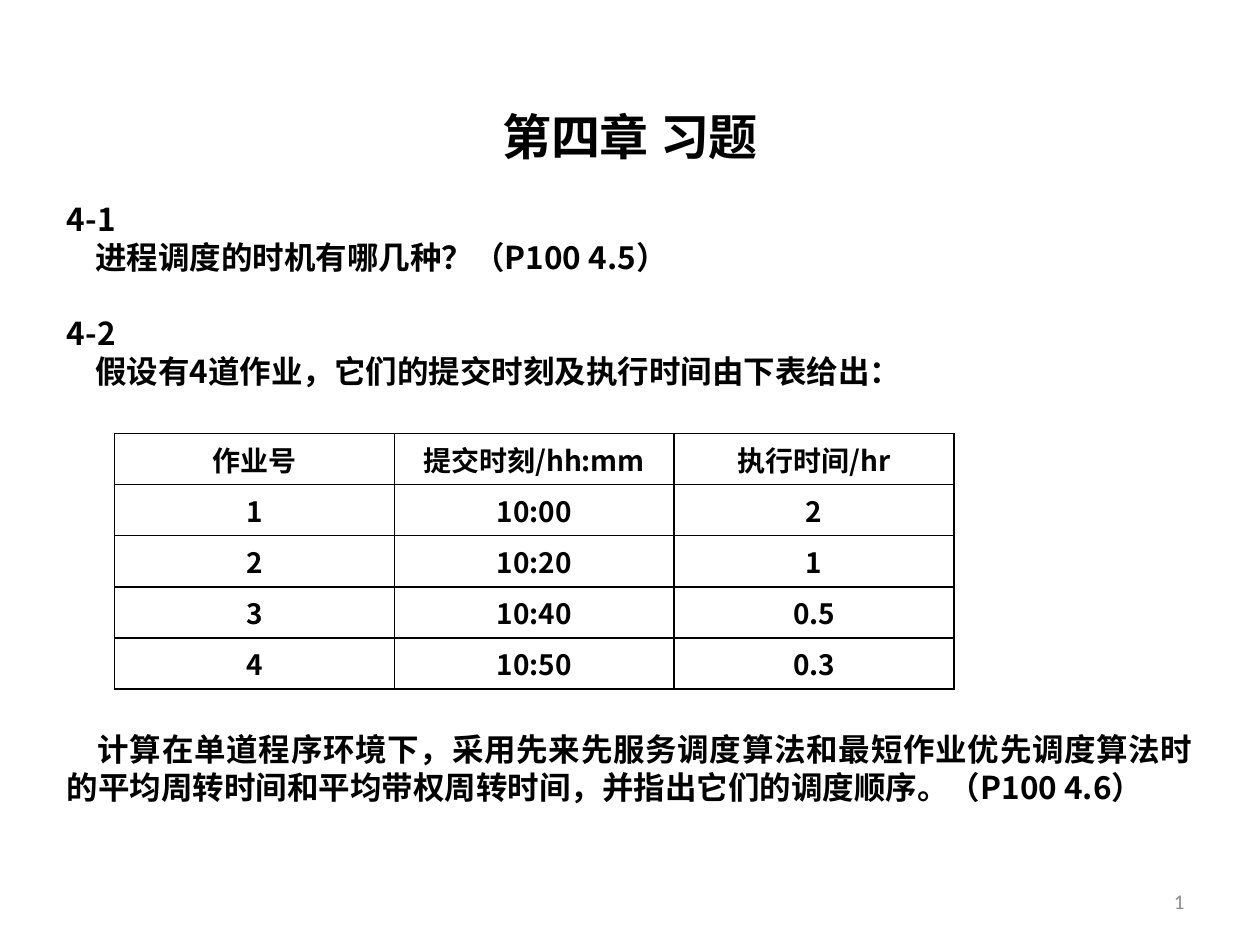
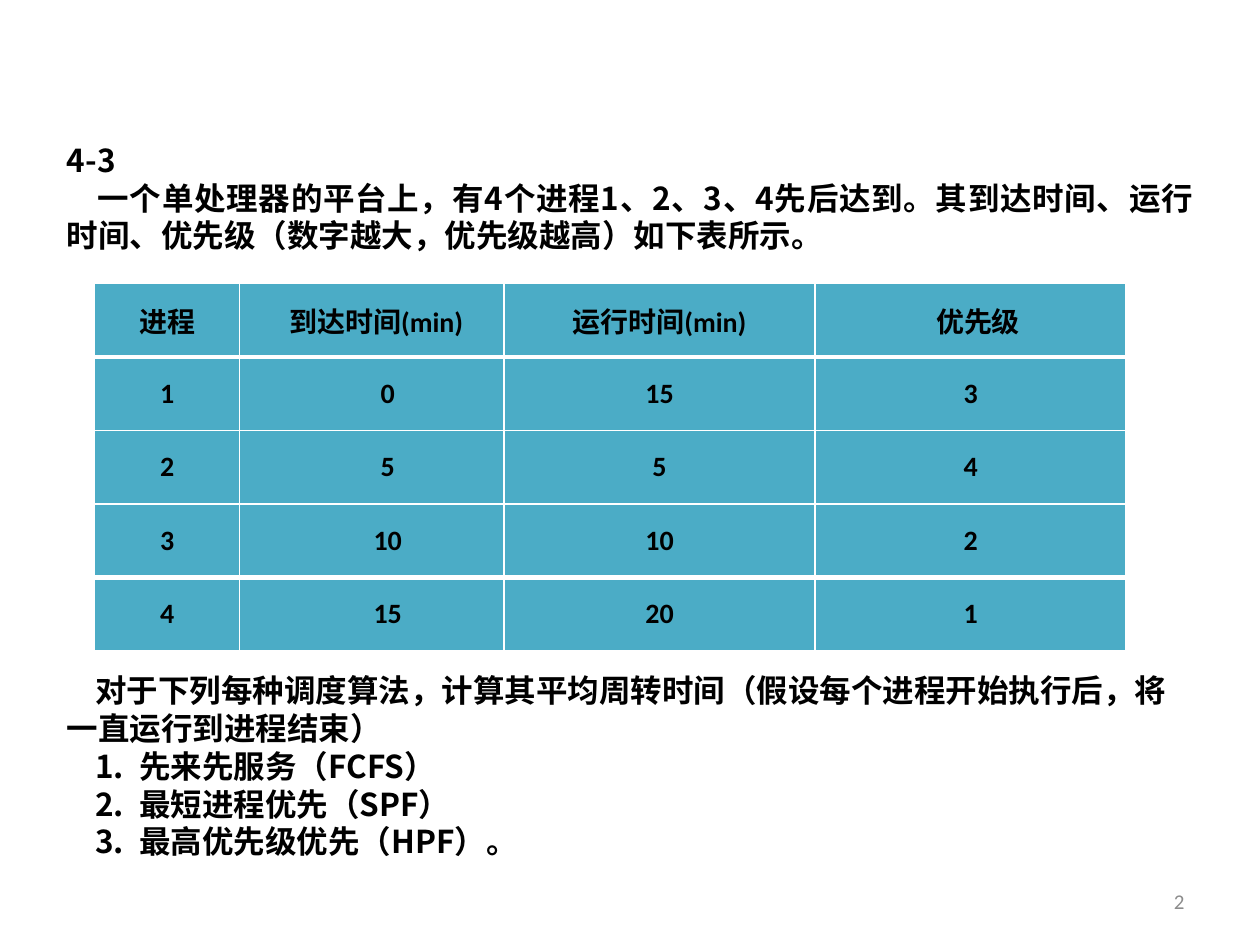
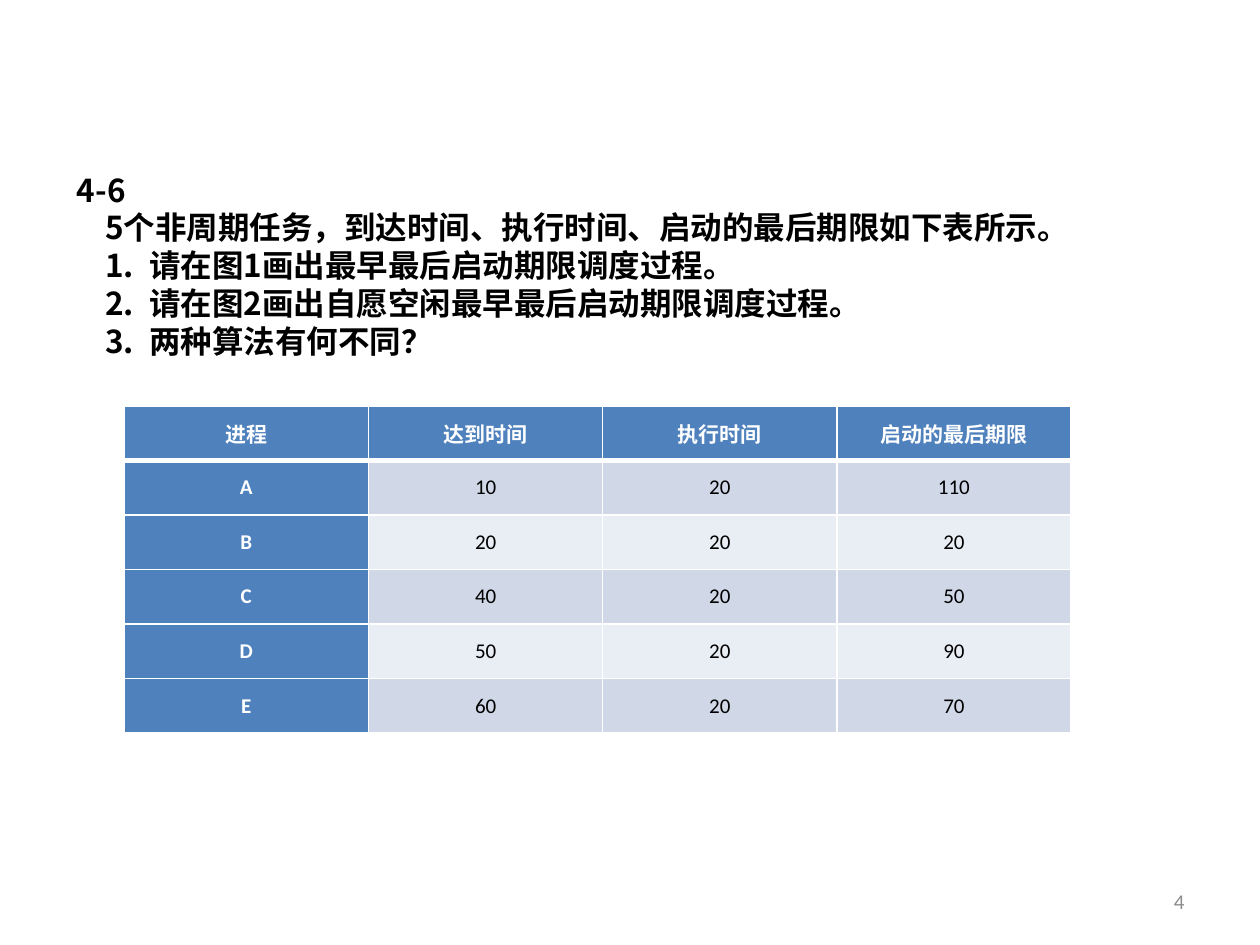
from lxml.etree import SubElement
from pptx import Presentation
from pptx.dml.color import RGBColor
from pptx.enum.text import MSO_ANCHOR, MSO_AUTO_SIZE, PP_ALIGN
from pptx.oxml.ns import qn
from pptx.util import Cm, Pt

COLORS = {
    "ink": "000000",
    "paper": "FFFFFF",
    "page_number": "8C8C8C",
    "teal": "4BACC6",
    "blue": "4F81BD",
    "band_dark": "D0D8E8",
    "band_light": "E9EDF4",
}
CJK_FONT = "Noto Sans CJK SC"
LATIN_FONT = "Calibri"
BODY_SIZE = 18
LINE = 21.6           # line pitch of headings and body, points
LINE_CM = 0.76        # the same pitch in centimetres
INDENT = 0.57         # first-line indent, cm
HANG = 0.89           # gap from list number to list text, cm
LEFT, WIDTH = 1.1, 23.2
TITLE_AND_CONTENT, TWO_CONTENT = 1, 3


def write(frame, text, *, size=BODY_SIZE, font=CJK_FONT, color="ink", bold=True,
          align=PP_ALIGN.LEFT, line=None, gap=0, indent=0, numbered=False):
    """Add one formatted paragraph to a text frame."""
    paragraph = frame.paragraphs[0]
    if paragraph.text:
        paragraph = frame.add_paragraph()
    properties = paragraph._p.get_or_add_pPr()
    margin = INDENT + HANG if numbered else 0
    properties.set("marL", str(Cm(margin)))
    properties.set("indent", str(Cm(-HANG if numbered else indent)))
    if numbered:
        SubElement(properties, qn("a:buAutoNum"), type="arabicPeriod")
    else:
        SubElement(properties, qn("a:buNone"))
    paragraph.alignment = align
    paragraph.space_before = Pt(gap)
    if line:
        paragraph.line_spacing = Pt(line)
    run = paragraph.add_run()
    run.text = text
    run.font.size = Pt(size)
    run.font.bold = bold
    run.font.color.rgb = RGBColor.from_string(COLORS[color])
    run.font.name = font
    SubElement(run._r.get_or_add_rPr(), qn("a:ea"), typeface=CJK_FONT)


def set_body_style(prs):
    """Give the template's first body level the exercise text style."""
    style = prs.slide_master.element.find(".//" + qn("p:bodyStyle"))
    defaults = style.find(qn("a:lvl1pPr")).find(qn("a:defRPr"))
    defaults.set("sz", str(BODY_SIZE * 100))
    defaults.set("b", "1")
    for script in ("a:latin", "a:ea"):
        defaults.find(qn(script)).set("typeface", CJK_FONT)
    # Let the two-content layout follow the master
    for overrides in prs.slide_layouts[TWO_CONTENT].element.iter(qn("a:lstStyle")):
        for level in list(overrides):
            overrides.remove(level)


def place(holder, left, top, height):
    """Move a placeholder and return its prepared text frame."""
    holder.left, holder.top = Cm(left), Cm(top)
    holder.width, holder.height = Cm(WIDTH), Cm(height)
    frame = holder.text_frame
    frame.word_wrap = True
    frame.auto_size = MSO_AUTO_SIZE.NONE
    frame.vertical_anchor = MSO_ANCHOR.TOP
    frame.margin_left = frame.margin_right = Cm(0.25)
    frame.margin_top = frame.margin_bottom = 0
    return frame


def add_heading(slide, text, top, left=LEFT, line=LINE, **style):
    frame = place(slide.shapes.title, left, top, line / LINE * LINE_CM)
    write(frame, text, line=line, **style)


def add_body(slide, index, top, lines, paragraphs, left=LEFT):
    frame = place(slide.placeholders[index], left, top, lines * LINE_CM)
    for text, style in paragraphs:
        write(frame, text, line=LINE, **style)


def add_page_number(slide, number):
    box = slide.shapes.add_textbox(Cm(18.21), Cm(17.65), Cm(5.92), Cm(1.02))
    box.text_frame.word_wrap = True
    box.text_frame.vertical_anchor = MSO_ANCHOR.MIDDLE
    write(box.text_frame, str(number), size=12, font=LATIN_FONT,
          color="page_number", bold=False, align=PP_ALIGN.RIGHT)


def set_borders(cell, color, widths):
    """Draw the left, right, top and bottom borders of a cell."""
    properties = cell._tc.get_or_add_tcPr()
    for position, (edge, width) in enumerate(zip("LRTB", widths)):
        border = properties.makeelement(qn(f"a:ln{edge}"), {"w": str(Pt(width))})
        fill = SubElement(border, qn("a:solidFill"))
        SubElement(fill, qn("a:srgbClr"), val=COLORS[color])
        properties.insert(position, border)


def add_grid(slide, rows, left, top, col_widths, row_height, cell_style, *,
             border="paper", thick_rules=(), shift=lambda row, col: 0):
    """Add a table; cell_style(row, col) gives the fill and the text format."""
    table = slide.shapes.add_table(
        len(rows), len(col_widths), Cm(left), Cm(top),
        Cm(sum(col_widths)), Cm(row_height * len(rows))).table
    for column, width in zip(table.columns, col_widths):
        column.width = Cm(width)
    for r, values in enumerate(rows):
        table.rows[r].height = Cm(row_height)
        rules = [3 if rule in thick_rules else 1 for rule in (r, r + 1)]
        for c, value in enumerate(values):
            cell = table.cell(r, c)
            fill, style = cell_style(r, c)
            if fill:
                cell.fill.solid()
                cell.fill.fore_color.rgb = RGBColor.from_string(COLORS[fill])
            else:
                cell.fill.background()
            cell.vertical_anchor = MSO_ANCHOR.MIDDLE
            cell.margin_left = Cm(0.18 + shift(r, c))
            cell.margin_right = Cm(0.18)
            cell.margin_top = cell.margin_bottom = 0
            set_borders(cell, border, [1, 1, *rules])
            write(cell.text_frame, value, align=PP_ALIGN.CENTER, **style)


def job_style(row, col):
    return None, {"size": 16}


def process_style(row, col):
    return "teal", {"size": 16, "font": LATIN_FONT}


def process_shift(row, col):
    return ((0, 0.18, 0, 0.3) if row == 0 else (0, 0.64, 0, 0))[col]


def task_style(row, col):
    label = row == 0 or col == 0
    fill = "blue" if label else "band_dark" if row % 2 else "band_light"
    return fill, {"size": 12, "font": LATIN_FONT, "bold": label,
                  "color": "paper" if label else "ink"}


def main():
    prs = Presentation()
    prs.slide_width, prs.slide_height = Cm(25.4), Cm(19.05)
    set_body_style(prs)
    opening = {"indent": INDENT}
    justified = {"indent": 0.62, "align": PP_ALIGN.JUSTIFY}
    item = {"numbered": True}

    # Exercises 4-1 and 4-2
    jobs = prs.slides.add_slide(prs.slide_layouts[TWO_CONTENT])
    add_heading(jobs, "第四章 习题", 2.06, line=36, size=28, align=PP_ALIGN.CENTER)
    add_body(jobs, 1, 4.04, 5, [
        ("4-1", {}),
        ("进程调度的时机有哪几种？（P100 4.5）", opening),
        ("4-2", {"gap": LINE}),
        ("假设有4道作业，它们的提交时刻及执行时间由下表给出：", opening),
    ])
    add_grid(jobs, [
        ("作业号", "提交时刻/hh:mm", "执行时间/hr"),
        ("1", "10:00", "2"),
        ("2", "10:20", "1"),
        ("3", "10:40", "0.5"),
        ("4", "10:50", "0.3"),
    ], 2.31, 8.74, [5.64] * 3, 1.03, job_style, border="ink")
    add_body(jobs, 2, 14.71, 2, [
        ("计算在单道程序环境下，采用先来先服务调度算法和最短作业优先调度算法时的平均"
         "周转时间和平均带权周转时间，并指出它们的调度顺序。（P100 4.6）", justified),
    ])
    add_page_number(jobs, 1)

    # Exercise 4-3
    processes = prs.slides.add_slide(prs.slide_layouts[TWO_CONTENT])
    add_heading(processes, "4-3", 2.84)
    add_body(processes, 1, 3.6, 2, [
        ("一个单处理器的平台上，有4个进程1、2、3、4先后达到。其到达时间、运行时间、"
         "优先级（数字越大，优先级越高）如下表所示。", justified),
    ])
    add_grid(processes, [
        ("进程", "到达时间(min)", "运行时间(min)", "优先级"),
        ("1", "0", "15", "3"),
        ("2", "5", "5", "4"),
        ("3", "10", "10", "2"),
        ("4", "15", "20", "1"),
    ], 1.91, 5.72, [2.92, 5.33, 6.27, 6.27], 1.48, process_style,
        thick_rules=(1, 4), shift=process_shift)
    add_body(processes, 2, 13.53, 5, [
        ("对于下列每种调度算法，计算其平均周转时间（假设每个进程开始执行后，"
         "将一直运行到进程结束）", opening),
        ("先来先服务（FCFS）", item),
        ("最短进程优先（SPF）", item),
        ("最高优先级优先（HPF）。", item),
    ])
    add_page_number(processes, 2)

    # Exercise 4-6
    tasks = prs.slides.add_slide(prs.slide_layouts[TITLE_AND_CONTENT])
    add_heading(tasks, "4-6", 3.44, left=1.3)
    add_body(tasks, 1, 4.2, 4, [
        ("5个非周期任务，到达时间、执行时间、启动的最后期限如下表所示。", opening),
        ("请在图1画出最早最后启动期限调度过程。", item),
        ("请在图2画出自愿空闲最早最后启动期限调度过程。", item),
        ("两种算法有何不同？", item),
    ], left=1.3)
    add_grid(tasks, [
        ("进程", "达到时间", "执行时间", "启动的最后期限"),
        ("A", "10", "20", "110"),
        ("B", "20", "20", "20"),
        ("C", "40", "20", "50"),
        ("D", "50", "20", "90"),
        ("E", "60", "20", "70"),
    ], 2.5, 8.18, [4.93] + [4.72] * 3, 1.1, task_style, thick_rules=(1,))
    add_page_number(tasks, 4)

    prs.save("out.pptx")


if __name__ == "__main__":
    main()
